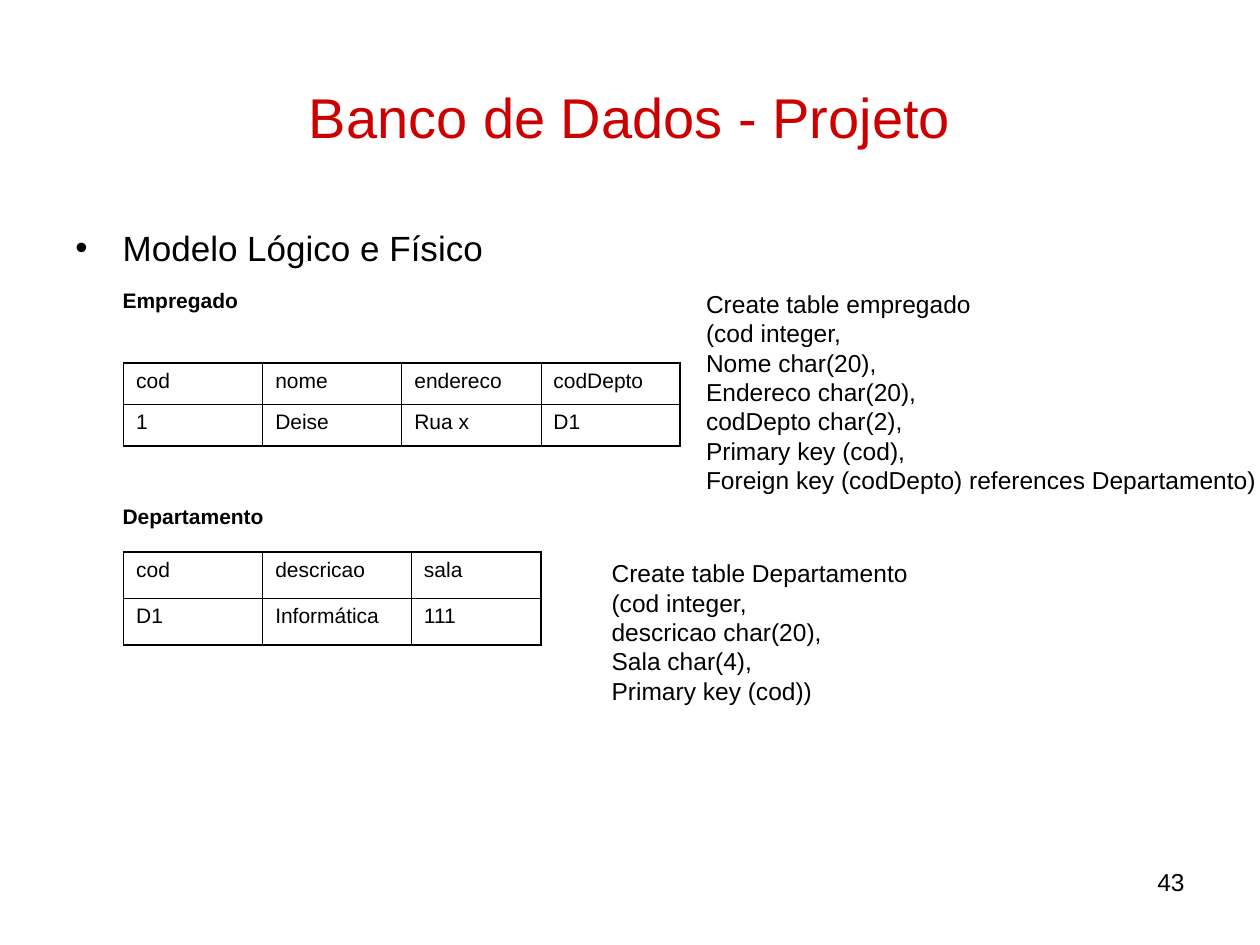
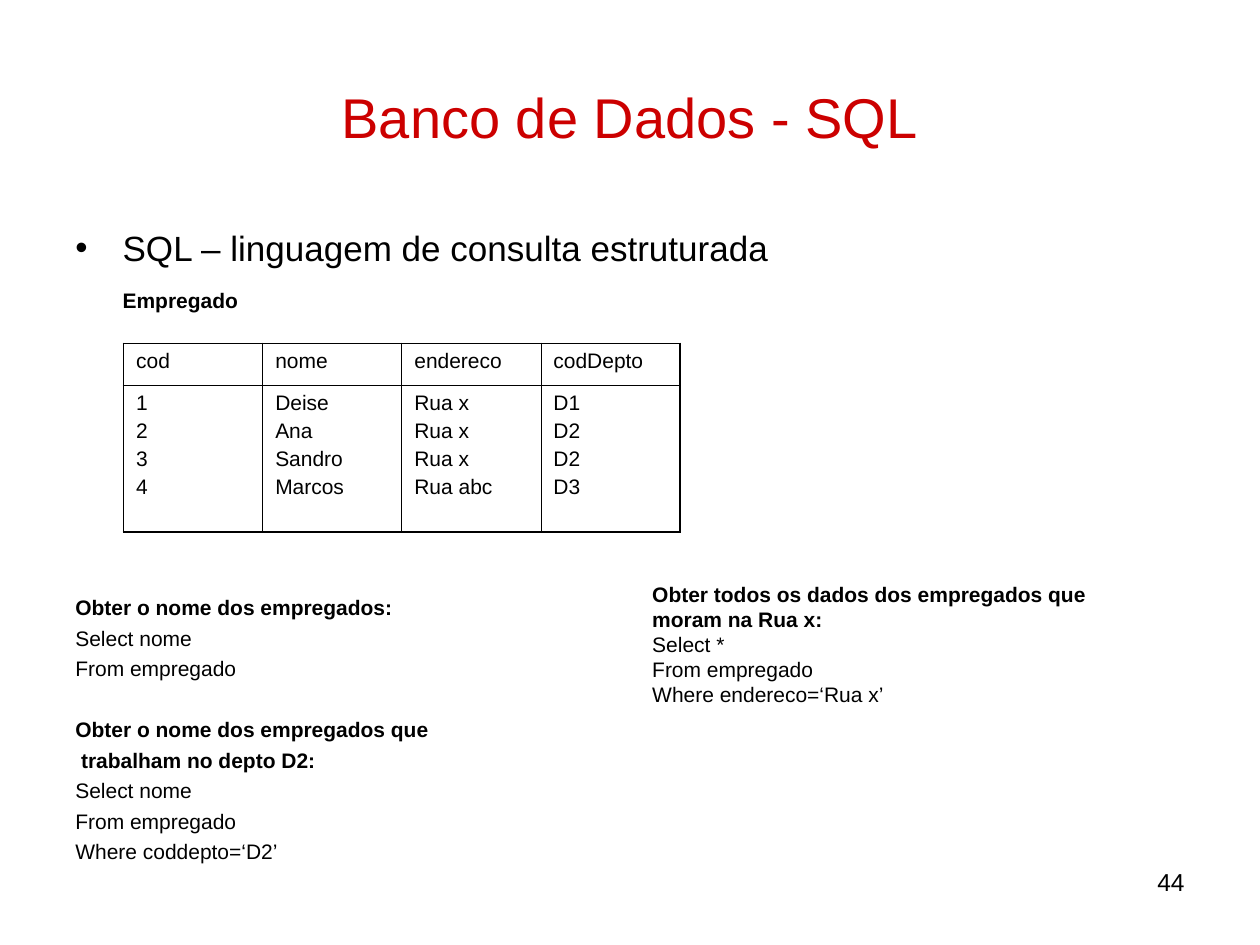
from dataclasses import dataclass

from lxml.etree import SubElement
from pptx import Presentation
from pptx.dml.color import RGBColor
from pptx.enum.text import MSO_ANCHOR, MSO_AUTO_SIZE, PP_ALIGN
from pptx.oxml import parse_xml
from pptx.oxml.ns import nsdecls, qn
from pptx.util import Pt


@dataclass(frozen=True)
class Theme:
    font: str = "Arial"
    red: str = "CC0000"
    black: str = "000000"
    title: int = 32
    topic: int = 20
    code: int = 14
    small: int = 12
    leading: float = 1.2
    hang: int = 27
    thin: float = 0.45
    thick: float = 1.08


THEME = Theme()
TITLE_BOX = (36, 21.6, 648, 90)
NUMBER_BOX = (516, 492, 168, 37)
TABLE_LEFT = 70.6

# Body lines: (text, bold, left indent, space before)
SLIDES = [
    {
        "title": "Banco de Dados - Projeto",
        "number": 43,
        "topic": "Modelo Lógico e Físico",
        "body_size": (318, 356),
        "body": [
            ("Empregado", True, THEME.hang, 11),
            ("Departamento", True, THEME.hang, 109),
        ],
        "tables": [
            {
                "top": 207.4,
                "columns": [79.5] * 4,
                "heights": [23.8, 23.8],
                "rows": [["cod", "nome", "endereco", "codDepto"],
                         ["1", "Deise", "Rua x", "D1"]],
            },
            {
                "top": 315.4,
                "columns": [79.5, 85, 74],
                "heights": [26.6, 26.6],
                "rows": [["cod", "descricao", "sala"],
                         ["D1", "Informática", "111"]],
            },
        ],
        "queries": [
            {
                "box": (396.4, 161.5, 329, 125.2),
                "size": THEME.code,
                "heading": [],
                "code": ["Create table empregado", "(cod integer,", "Nome char(20),",
                         "Endereco char(20),", "codDepto char(2),", "Primary key (cod),",
                         "Foreign key (codDepto) references Departamento)"],
            },
            {
                "box": (342.4, 315.4, 183.6, 108),
                "size": THEME.code,
                "heading": [],
                "code": ["Create table Departamento", "(cod integer,",
                         "descricao char(20),", "Sala char(4),", "Primary key (cod))"],
            },
        ],
    },
    {
        "title": "Banco de Dados - SQL",
        "number": 44,
        "topic": "SQL – linguagem de consulta estruturada",
        "body_size": (556, 388),
        "body": [
            ("Empregado", True, THEME.hang, 11),
            ("Obter o nome dos empregados:", True, 0, 161),
            ("Select nome", False, 0, 3),
            ("From empregado", False, 0, 3),
            ("Obter o nome dos empregados que", True, 0, 20.4),
            ("trabalham no depto D2:", True, 3.3, 3),
            ("Select nome", False, 0, 3),
            ("From empregado", False, 0, 3),
            ("Where coddepto=‘D2’", False, 0, 3),
        ],
        "tables": [
            {
                "top": 196.2,
                "columns": [79.5] * 4,
                "heights": [23.8, 84.2],
                "rows": [["cod", "nome", "endereco", "codDepto"],
                         ["1\n2\n3\n4", "Deise\nAna\nSandro\nMarcos",
                          "Rua x\nRua x\nRua x\nRua abc", "D1\nD2\nD2\nD3"]],
            },
        ],
        "queries": [
            {
                "box": (365.6, 328.5, 265.7, 93.6),
                "size": THEME.small,
                "heading": ["Obter todos os dados dos empregados que", "moram na Rua x:"],
                "code": ["Select *", "From empregado", "Where endereco=‘Rua x’"],
            },
        ],
    },
]


def points(values):
    return [Pt(value) for value in values]


def style(paragraph, size, color=THEME.black, bold=False):
    font = paragraph.font
    font.name, font.size, font.bold = THEME.font, Pt(size), bold
    font.color.rgb = RGBColor.from_string(color)


def add_text(slide, box, lines, wrap=True):
    """Add a text box and return its paragraphs, one for each line."""
    text_frame = slide.shapes.add_textbox(*points(box)).text_frame
    text_frame.word_wrap = wrap
    text_frame.text = "\n".join(lines)
    return text_frame.paragraphs


def set_leading(paragraph, size):
    paragraph.line_spacing = Pt(round(size * THEME.leading, 2))


def add_title(slide, text):
    title = slide.shapes.title
    title.left, title.top, title.width, title.height = points(TITLE_BOX)
    text_frame = title.text_frame
    text_frame.text = text
    text_frame.auto_size = MSO_AUTO_SIZE.NONE
    text_frame.vertical_anchor = MSO_ANCHOR.MIDDLE
    paragraph = text_frame.paragraphs[0]
    paragraph.alignment = PP_ALIGN.CENTER
    style(paragraph, THEME.title, THEME.red)


def add_body(slide, topic, lines, size):
    texts = [topic] + [text for text, *_ in lines]
    first, *others = add_text(slide, (36, 126, *size), texts)
    properties = first._p.get_or_add_pPr()
    properties.set("marL", str(Pt(THEME.hang)))
    properties.set("indent", str(-Pt(THEME.hang)))
    SubElement(properties, qn("a:buFont"), typeface=THEME.font)
    SubElement(properties, qn("a:buChar"), char="•")
    set_leading(first, THEME.topic)
    style(first, THEME.topic)
    for paragraph, (_, bold, indent, space) in zip(others, lines):
        paragraph._p.get_or_add_pPr().set("marL", str(Pt(indent)))
        set_leading(paragraph, THEME.small)
        paragraph.space_before = Pt(space)
        style(paragraph, THEME.small, bold=bold)


def set_borders(cell, widths):
    """Draw the left, right, top and bottom edges of a cell."""
    properties = cell._tc.get_or_add_tcPr()
    for index, (side, width) in enumerate(zip("LRTB", widths)):
        properties.insert(index, parse_xml(
            f'<a:ln{side} {nsdecls("a")} w="{Pt(width)}"><a:solidFill>'
            f'<a:srgbClr val="{THEME.black}"/></a:solidFill></a:ln{side}>'))


def add_data_table(slide, top, columns, heights, rows):
    box = points((TABLE_LEFT, top, sum(columns), sum(heights)))
    table = slide.shapes.add_table(len(rows), len(columns), *box).table
    table.first_row = table.horz_banding = False
    for column, width in zip(table.columns, columns):
        column.width = Pt(width)
    last_row, last_column = len(rows) - 1, len(columns) - 1
    for r, (height, values) in enumerate(zip(heights, rows)):
        table.rows[r].height = Pt(height)
        for c, value in enumerate(values):
            cell = table.cell(r, c)
            cell.text_frame.text = value
            cell.fill.background()
            outer = (c == 0, c == last_column, r == 0, r == last_row)
            set_borders(cell, [THEME.thick if edge else THEME.thin for edge in outer])
            for index, paragraph in enumerate(cell.text_frame.paragraphs):
                if index:
                    paragraph.space_before = Pt(2.6)
                style(paragraph, THEME.small)


def add_query(slide, box, size, heading, code):
    paragraphs = add_text(slide, box, heading + code, wrap=False)
    for index, paragraph in enumerate(paragraphs):
        set_leading(paragraph, size)
        style(paragraph, size, bold=index < len(heading))


def add_number(slide, number):
    paragraph = add_text(slide, NUMBER_BOX, [str(number)])[0]
    paragraph.alignment = PP_ALIGN.RIGHT
    style(paragraph, THEME.code)


def main():
    presentation = Presentation()
    presentation.slide_width, presentation.slide_height = Pt(720), Pt(540)
    for content in SLIDES:
        slide = presentation.slides.add_slide(presentation.slide_layouts[5])
        add_title(slide, content["title"])
        add_body(slide, content["topic"], content["body"], content["body_size"])
        for table in content["tables"]:
            add_data_table(slide, **table)
        for query in content["queries"]:
            add_query(slide, **query)
        add_number(slide, content["number"])
    presentation.save("out.pptx")


if __name__ == "__main__":
    main()
